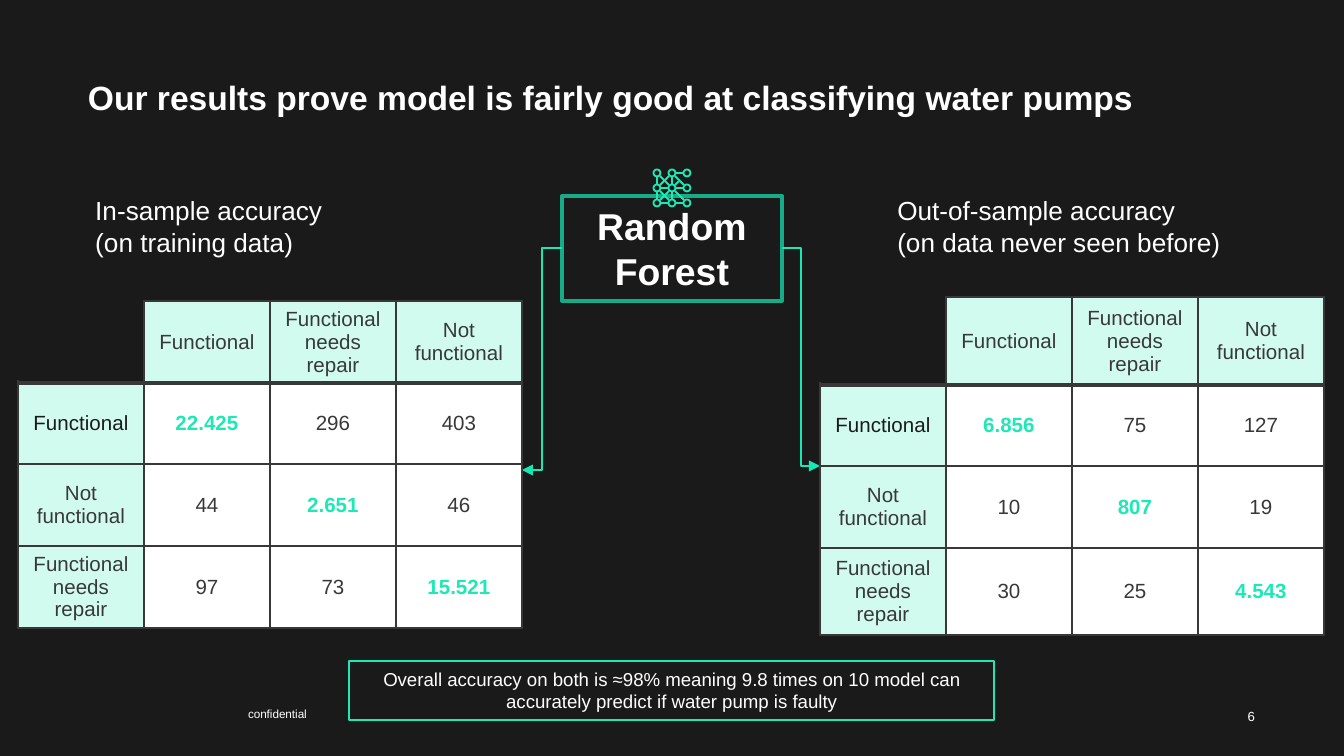
from lxml import etree
from pptx import Presentation
from pptx import util as u
from pptx.dml.color import RGBColor
from pptx.enum import shapes, text
from pptx.oxml.ns import qn

PX = u.Inches(10) / 1344
DARK, GREY, WHITE = "1A1A1A", "383838", "FFFFFF"
MINT, PALE, GREEN, ARROW = "1DE9B6", "D2FBF0", "15AC87", "17E9B4"
LEFT, CENTER, RIGHT = text.PP_ALIGN.LEFT, text.PP_ALIGN.CENTER, text.PP_ALIGN.RIGHT
TOP, MIDDLE = text.MSO_ANCHOR.TOP, text.MSO_ANCHOR.MIDDLE


def paint(fill, colour):
    fill.solid()
    fill.fore_color.rgb = RGBColor.from_string(colour)


def write(frame, content, size=11, colour=WHITE, bold=False, align=LEFT):
    frame.word_wrap = True
    frame.text = content
    for paragraph in frame.paragraphs:
        paragraph.alignment = align
        font = paragraph.runs[0].font
        font.name, font.size, font.bold = "Arial", u.Pt(size), bold
        paint(font.fill, colour)


deck = Presentation()
deck.slide_width, deck.slide_height = round(1344 * PX), round(756 * PX)
slide = deck.slides.add_slide(deck.slide_layouts[6])
paint(slide.background.fill, DARK)

labels = [
    ((1184, 696, 71, 40), "6", dict(size=7.1, align=RIGHT), MIDDLE, False),
    ((248, 707, 264, 32), "confidential", dict(size=6.3), TOP, False),
    ((88, 77, 1167, 52), "Our results prove model is fairly good at classifying water pumps",
     dict(size=18, bold=True), TOP, False),
    ((82, 188, 375, 77), "In-sample accuracy\n(on training data)", dict(size=14), TOP, True),
    ((884, 188, 375, 77), "Out-of-sample accuracy\n(on data never seen before)",
     dict(size=14), TOP, True),
]
for place, content, style, anchor, padded in labels:
    frame = slide.shapes.add_textbox(*[round(v * PX) for v in place]).text_frame
    write(frame, content, **style)
    frame.vertical_anchor = anchor
    if not padded:
        frame.margin_left = frame.margin_right = frame.margin_top = frame.margin_bottom = 0

callouts = [
    ((562, 196, 220, 105), "Random Forest", dict(size=20, bold=True), GREEN, 2, MIDDLE),
    ((349, 661, 645, 59),
     "Overall accuracy on both is ≈98% meaning 9.8 times on 10 model can "
     "accurately predict if water pump is faulty", dict(size=10), MINT, 0.75, TOP),
]
for place, content, style, outline, weight, anchor in callouts:
    callout = slide.shapes.add_shape(shapes.MSO_SHAPE.RECTANGLE, *[round(v * PX) for v in place])
    callout.shadow.inherit = False
    callout.fill.background()
    paint(callout.line.fill, outline)
    callout.line.width = u.Pt(weight)
    write(callout.text_frame, content, align=CENTER, **style)
    callout.text_frame.vertical_anchor = anchor

network = slide.shapes.add_group_shape().shapes
node_x, node_y, pitch, radius = 657, 173, 15, 3.5
edges = [
    (0, 2, 1, 1), (1, 1, 1.65, 0.35), (1, 2, 0, 1), (0, 0, 1, 1), (1, 1, 2, 2), (0, 0, 0, 1),
    (0, 1, 1, 0), (1, 0, 2, 0), (1, 0, 2, 1), (0, 1, 0, 2), (1, 1, 1, 2), (1, 0, 1, 1),
    (1, 2, 0, 2), (2, 2, 1, 2), (0, 1, 1, 1), (1, 1, 2, 1),
]
links = []
for c1, r1, c2, r2 in edges:
    trim_x = 3 * ((c2 > c1) - (c2 < c1))
    trim_y = 3 * ((r2 > r1) - (r2 < r1))
    ends = (node_x + c1 * pitch + trim_x, node_y + r1 * pitch + trim_y,
            node_x + c2 * pitch - trim_x, node_y + r2 * pitch - trim_y)
    edge = network.add_connector(shapes.MSO_CONNECTOR.STRAIGHT, *[round(v * PX) for v in ends])
    links.append((edge, MINT, 1))
for position in range(9):
    row, column = divmod(position, 3)
    place = (node_x + column * pitch - radius, node_y + row * pitch - radius, 2 * radius, 2 * radius)
    node = network.add_shape(shapes.MSO_SHAPE.OVAL, *[round(v * PX) for v in place])
    node.shadow.inherit = False
    node.fill.background()
    paint(node.line.fill, MINT)
    node.line.width = u.Pt(1)

arrows = []
for ends in [(562, 248, 522, 470), (782, 248, 820, 466)]:
    arrow = slide.shapes.add_connector(shapes.MSO_CONNECTOR.ELBOW, *[round(v * PX) for v in ends])
    arrows.append(arrow)
    links.append((arrow, ARROW, 0.75))
for link, colour, weight in links:
    paint(link.line.fill, colour)
    link.line.width = u.Pt(weight)
    etree.SubElement(link._element.spPr, qn("a:effectLst"))
for arrow in arrows:
    etree.SubElement(arrow.line._get_or_add_ln(), qn("a:tailEnd"), type="triangle")

predicted = ["", "Functional", "Functional needs repair", "Not functional"]
actual = ["Functional", "Not functional", "Functional needs repair"]
matrices = [
    (18, 301, [82, 81, 82, 82],
     [["22.425", "296", "403"], ["44", "2.651", "46"], ["97", "73", "15.521"]]),
    (820, 297, [88, 81, 82, 87],
     [["6.856", "75", "127"], ["10", "807", "19"], ["30", "25", "4.543"]]),
]
for left, top, heights, counts in matrices:
    place = (left, top, 504, sum(heights))
    matrix = slide.shapes.add_table(4, 4, *[round(v * PX) for v in place]).table
    matrix.first_row = matrix.horz_banding = False
    for column in matrix.columns:
        column.width = round(126 * PX)
    for row, height in zip(matrix.rows, heights):
        row.height = round(height * PX)
    rows = [predicted] + [[name] + values for name, values in zip(actual, counts)]
    for r, values in enumerate(rows):
        for c, value in enumerate(values):
            cell = matrix.cell(r, c)
            corner, header, hit = r == c == 0, r == 0 or c == 0, r == c > 0
            for side in "LRTB":
                thick = (r, side) in [(0, "B"), (1, "T")]
                border = etree.SubElement(cell._tc.get_or_add_tcPr(), qn("a:ln" + side),
                                          w=str(u.Pt(3 if thick else 1)))
                solid = etree.SubElement(border, qn("a:solidFill"))
                etree.SubElement(solid, qn("a:srgbClr"), val=DARK if corner and side in "LT" else GREY)
            paint(cell.fill, DARK if corner else PALE if header else WHITE)
            cell.vertical_anchor = MIDDLE
            cell.margin_left = cell.margin_right = round(10 * PX)
            cell.margin_top = cell.margin_bottom = round(3 * PX)
            if value:
                ink = MINT if hit else DARK if (r, c) == (1, 0) else GREY
                write(cell.text_frame, value, colour=ink, bold=hit, align=CENTER)

deck.save("out.pptx")
